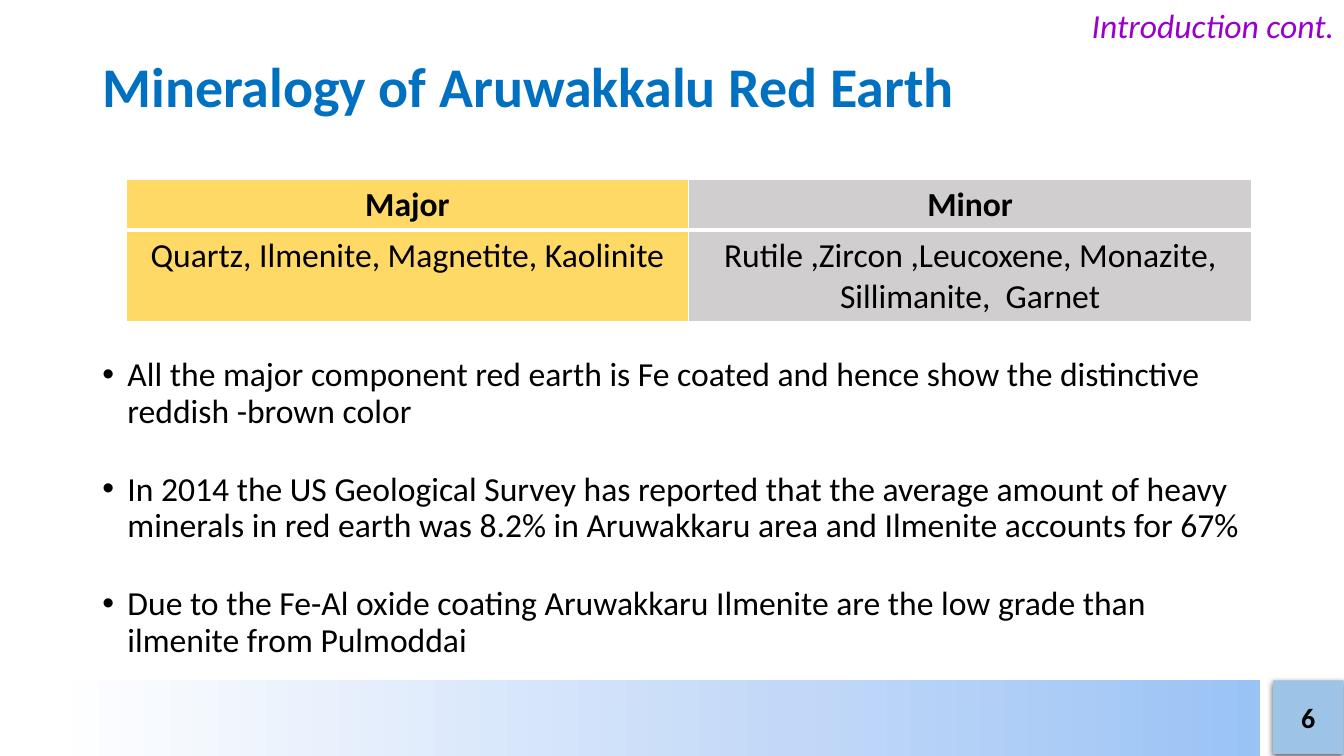
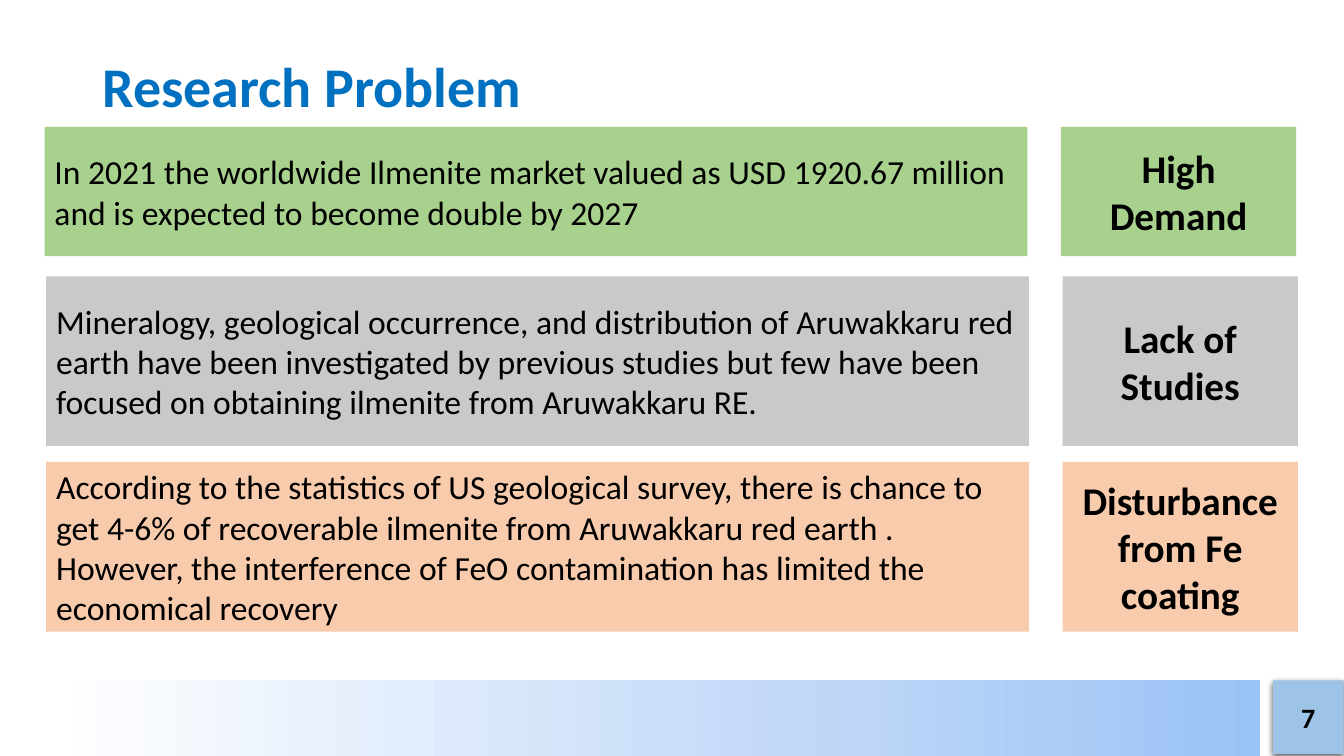
from copy import deepcopy
from dataclasses import dataclass

from lxml import etree
from pptx import Presentation
from pptx import util as u
from pptx.dml.color import RGBColor
from pptx.enum import shapes, text
from pptx.oxml import ns

COLUMNS, ROWS = 160, 90  # grid of square cells, twelve to the inch
CELL = u.Inches(1) / 12


@dataclass(frozen=True)
class Theme:
    font: str = "Calibri"
    title: str = "0070C0"
    ink: str = "000000"
    section: str = "9900CC"
    paper: str = "FFFFFF"
    band: tuple = ((0.04, "FFFFFF"), (0.63, "C2D8F8"), (1, "9AC3F5"))
    number_tile: str = "9DC3E6"
    gold: str = "FFD966"
    silver: str = "D0CECE"
    green: str = "A9D18E"
    grey: str = "C9C9C9"
    peach: str = "F8CBAD"
    title_size: float = 40
    label_size: float = 28
    body_size: float = 24
    number_size: float = 20


THEME = Theme()


@dataclass(frozen=True)
class Box:
    """A rectangle in grid columns and rows."""
    left: float
    top: float
    width: float
    height: float

    def emu(self):
        return [u.Emu(round(n * CELL))
                for n in (self.left, self.top, self.width, self.height)]


TITLE = Box(11, 1.94, 138, 17.4)
SECTION = Box(114, 0, 46, 6)
BAND = Box(0, 81, 150, 9)
NUMBER_TILE = Box(151.56, 81, 8.4, 8.76)
MINERAL_TABLE = Box(15, 21.4, 134, 16.8)
FINDINGS = Box(11, 42, 138, 38)


def rgb(colour):
    return RGBColor.from_string(colour)


def add_xml(parent, tag, **attributes):
    return etree.SubElement(parent, ns.qn(tag), attributes)


def write(paragraph, words, size, colour=THEME.ink, bold=False, italic=False,
          align=text.PP_ALIGN.LEFT):
    paragraph.text = words
    paragraph.alignment = align
    font = paragraph.font
    font.name, font.size, font.bold, font.italic = THEME.font, u.Pt(size), bold, italic
    font.color.rgb = rgb(colour)


def add_rectangle(parent, box, fill=None):
    shape = parent.shapes.add_shape(shapes.MSO_SHAPE.RECTANGLE, *box.emu())
    shape.shadow.inherit = False
    shape.line.fill.background()
    if fill:
        shape.fill.solid()
        shape.fill.fore_color.rgb = rgb(fill)
    shape.text_frame.word_wrap = True
    shape.text_frame.vertical_anchor = text.MSO_ANCHOR.MIDDLE
    return shape


def add_text_frame(slide, box):
    frame = slide.shapes.add_textbox(*box.emu()).text_frame
    frame.word_wrap = True
    return frame


def add_band(slide, box):
    band = add_rectangle(slide, box)
    band.fill.gradient()
    band.fill.gradient_angle = 0
    stop_list = band._element.spPr.find(".//" + ns.qn("a:gsLst"))
    stop_list.append(deepcopy(stop_list[0]))
    for stop, (position, colour) in zip(band.fill.gradient_stops, THEME.band):
        stop.position = position
        stop.color.rgb = rgb(colour)


def add_number_tile(slide, box, number):
    tile = add_rectangle(slide, box, THEME.number_tile)
    effects = tile._element.spPr.find(ns.qn("a:effectLst"))
    shadow = add_xml(effects, "a:outerShdw", blurRad=str(u.Pt(4.5)),
                     dist=str(u.Pt(1.5)), dir="5400000", algn="ctr", rotWithShape="0")
    add_xml(add_xml(shadow, "a:srgbClr", val=THEME.ink), "a:alpha", val="63000")
    write(tile.text_frame.paragraphs[0], str(number), THEME.number_size,
          bold=True, align=text.PP_ALIGN.CENTER)


def add_titled_slide(presentation, title, number):
    slide = presentation.slides.add_slide(
        presentation.slide_layouts.get_by_name("Title Only"))
    add_band(slide, BAND)
    add_number_tile(slide, NUMBER_TILE, number)
    holder = slide.shapes.title
    holder.left, holder.top, holder.width, holder.height = TITLE.emu()
    holder.text_frame.vertical_anchor = text.MSO_ANCHOR.MIDDLE
    paragraph = holder.text_frame.paragraphs[0]
    write(paragraph, title, THEME.title_size, THEME.title, bold=True)
    paragraph.line_spacing = 0.9
    return slide


def set_borders(cell, **points):
    """Draw cell borders; keys are L, R, T and B, values are widths in points."""
    properties = cell._tc.get_or_add_tcPr()
    for index, (side, width) in enumerate(points.items()):
        line = add_xml(properties, f"a:ln{side}", w=str(u.Pt(width)))
        add_xml(add_xml(line, "a:solidFill"), "a:srgbClr", val=THEME.paper)
        properties.insert(index, line)


def add_mineral_table(slide, box, columns):
    """Fill one column from each (heading, minerals, colour)."""
    table = slide.shapes.add_table(2, len(columns), *box.emu()).table
    heading_height = u.Inches(0.49)
    table.rows[0].height = heading_height
    table.rows[1].height = box.emu()[3] - heading_height
    for c, (heading, minerals, colour) in enumerate(columns):
        for r, words in enumerate((heading, minerals)):
            cell = table.cell(r, c)
            cell.fill.solid()
            cell.fill.fore_color.rgb = rgb(colour)
            set_borders(cell, L=1, R=1, T=3 if r else 1, B=1 if r else 3)
            write(cell.text_frame.paragraphs[0], words, THEME.body_size,
                  bold=r == 0, align=text.PP_ALIGN.CENTER)


def add_bullets(slide, box, items):
    frame = add_text_frame(slide, box)
    for index, item in enumerate(items):
        paragraph = frame.add_paragraph() if index else frame.paragraphs[0]
        write(paragraph, item, THEME.body_size)
        paragraph.line_spacing = 0.9
        paragraph.space_after = u.Pt(30)
        properties = paragraph._p.get_or_add_pPr()
        properties.set("marL", str(u.Inches(0.25)))
        properties.set("indent", str(-u.Inches(0.25)))
        bullet_font = etree.Element(ns.qn("a:buFont"), typeface="Arial")
        bullet = etree.Element(ns.qn("a:buChar"), char="•")
        properties.find(ns.qn("a:defRPr")).addprevious(bullet_font)
        bullet_font.addnext(bullet)


def add_problem_row(slide, box, statement, label, colour):
    """Place a statement and its label side by side, as one group."""
    label_width, gap = 28, 4
    statement_width = box.width - label_width - gap
    group = slide.shapes.add_group_shape()
    statement_box = Box(box.left, box.top, statement_width, box.height)
    label_box = Box(box.left + statement_width + gap, box.top, label_width, box.height)
    write(add_rectangle(group, statement_box, colour).text_frame.paragraphs[0],
          statement, THEME.body_size)
    write(add_rectangle(group, label_box, colour).text_frame.paragraphs[0],
          label, THEME.label_size, bold=True, align=text.PP_ALIGN.CENTER)


def build_mineralogy(presentation):
    slide = add_titled_slide(presentation, "Mineralogy of Aruwakkalu Red Earth", 6)
    write(add_text_frame(slide, SECTION).paragraphs[0], "Introduction cont.",
          THEME.body_size, THEME.section, italic=True, align=text.PP_ALIGN.RIGHT)
    add_mineral_table(slide, MINERAL_TABLE, [
        ("Major", "Quartz, Ilmenite, Magnetite, Kaolinite", THEME.gold),
        ("Minor", "Rutile ,Zircon ,Leucoxene, Monazite, Sillimanite,  Garnet",
         THEME.silver),
    ])
    add_bullets(slide, FINDINGS, [
        "All the major component red earth is Fe coated and hence show the "
        "distinctive reddish -brown color",
        "In 2014 the US Geological Survey has reported that the average amount of "
        "heavy minerals in red earth was 8.2% in Aruwakkaru area and Ilmenite "
        "accounts for 67%",
        "Due to the Fe-Al oxide coating Aruwakkaru Ilmenite are the low grade than "
        "ilmenite from Pulmoddai",
    ])


def build_research_problem(presentation):
    slide = add_titled_slide(presentation, "Research Problem", 7)
    add_problem_row(
        slide, Box(5.3, 15.1, 149, 15.4),
        "In 2021 the worldwide Ilmenite market valued as USD 1920.67 million and is "
        "expected to become double by 2027",
        "High Demand", THEME.green)
    add_problem_row(
        slide, Box(5.5, 32.9, 149, 20.2),
        "Mineralogy, geological occurrence, and distribution of Aruwakkaru red earth "
        "have been investigated by previous studies but few have been focused on "
        "obtaining ilmenite from Aruwakkaru RE.",
        "Lack of Studies", THEME.grey)
    add_problem_row(
        slide, Box(5.5, 55, 149, 20.2),
        "According to the statistics of US geological survey, there is chance to get "
        "4-6% of recoverable ilmenite from Aruwakkaru red earth . However, the "
        "interference of FeO contamination has limited the economical recovery",
        "Disturbance from Fe coating", THEME.peach)


def main():
    presentation = Presentation()
    presentation.slide_width = u.Emu(round(COLUMNS * CELL))
    presentation.slide_height = u.Emu(round(ROWS * CELL))
    build_mineralogy(presentation)
    build_research_problem(presentation)
    presentation.save("out.pptx")


if __name__ == "__main__":
    main()
